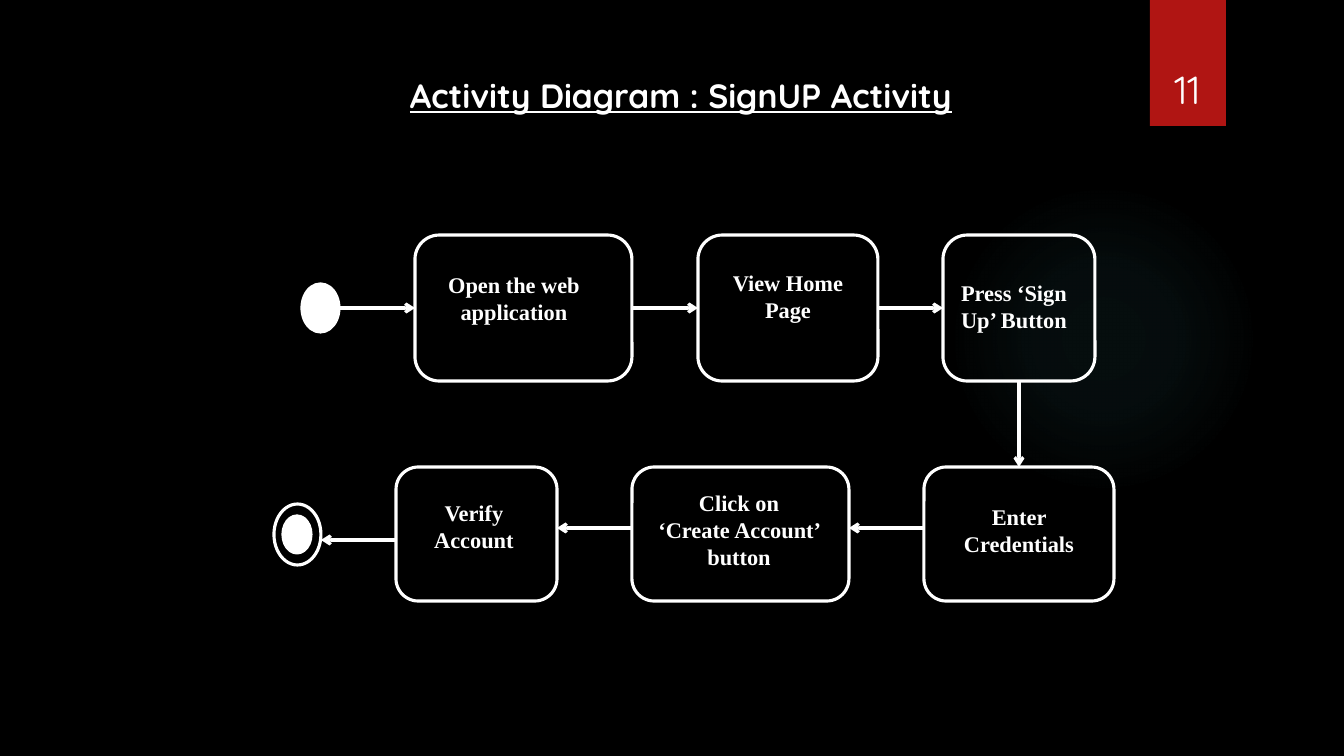
from lxml.etree import SubElement
from pptx import Presentation
from pptx.dml.color import RGBColor
from pptx.enum.shapes import MSO_CONNECTOR, MSO_SHAPE
from pptx.enum.text import MSO_ANCHOR, MSO_AUTO_SIZE, PP_ALIGN
from pptx.oxml import parse_xml
from pptx.oxml.ns import nsdecls, qn
from pptx.util import Emu, Pt

THEME = {
    "background": "000000",
    "foreground": "FFFFFF",
    "tab": "B01513",
    "glow": "50B9C1",
    "line": 2.25,
    "title": {"name": "Quicksand", "size": Pt(24), "bold": True, "underline": True},
    "number": {"name": "Quicksand", "size": Pt(28)},
    "step": {"name": "Times New Roman", "size": Pt(16), "bold": True},
}

SLIDE_SIZE = (1344, 756)
GLOW = (949, 184, 310, 310)
GLOW_STOPS = [(0, 7), (36, 6), (69, 0)]
TAB = (1150, 0, 76, 126)
TITLE = (["Activity Diagram : SignUP Activity"], (400, 70, 626, 50))
NUMBER = (["11"], (1141, 32, 93, 85))

START = (302, 284, 37, 48)
END_CORE = (283, 516, 28, 37)
END_RING = (274, 504, 47, 61)

ROWS = {"top": (235, 146), "bottom": (467, 134)}
STEPS = [
    ("open", "top", 415, 217, ["Open the web application"], (424, 266, 180, 65)),
    ("view", "top", 698, 180, ["View Home Page"], (698, 264, 180, 94)),
    ("press", "top", 943, 152, ["Press ‘Sign Up’ Button"], (934, 274, 160, 65)),
    ("enter", "bottom", 924, 190, ["Enter Credentials"], (934, 498, 170, 94)),
    ("click", "bottom", 632, 217, ["Click on", "‘Create Account’ button"], (635, 484, 208, 133)),
    ("verify", "bottom", 396, 161, ["Verify Account"], (394, 494, 160, 94)),
]

TOP, LEFT, BOTTOM, RIGHT = range(4)
JOINED_ARROWS = [
    ("open", RIGHT, "view", LEFT),
    ("view", RIGHT, "press", LEFT),
    ("press", BOTTOM, "enter", TOP),
]
FREE_ARROWS = [(924, 849, 528), (632, 557, 528), (396, 321, 540)]
START_ARROW = (340, 415, 308)

EMU_PER_PX = 914400 / 100.8


def px(value):
    return Emu(round(value * EMU_PER_PX))


def color(name):
    return RGBColor.from_string(THEME[name])


def outline(line):
    line.color.rgb = color("foreground")
    line.width = Pt(THEME["line"])


def add_shape(slide, kind, box, fill=None, outlined=True):
    shape = slide.shapes.add_shape(kind, *map(px, box))
    shape.shadow.inherit = False
    if fill:
        shape.fill.solid()
        shape.fill.fore_color.rgb = color(fill)
    else:
        shape.fill.background()
    if outlined:
        outline(shape.line)
    else:
        shape.line.fill.background()
    return shape


def add_glow(slide):
    shape = add_shape(slide, MSO_SHAPE.OVAL, GLOW, outlined=False)
    stops = "".join(
        f'<a:gs pos="{position * 1000}"><a:srgbClr val="{THEME["glow"]}">'
        f'<a:alpha val="{alpha * 1000}"/></a:srgbClr></a:gs>'
        for position, alpha in GLOW_STOPS
    )
    gradient = parse_xml(
        f'<a:gradFill {nsdecls("a")}><a:gsLst>{stops}</a:gsLst><a:path path="circle">'
        '<a:fillToRect l="50000" t="50000" r="50000" b="50000"/></a:path></a:gradFill>'
    )
    properties = shape._element.spPr
    properties.replace(properties.find(qn("a:noFill")), gradient)


def add_text(slide, lines, box, style, alignment=PP_ALIGN.CENTER,
             anchor=MSO_ANCHOR.TOP, auto_size=MSO_AUTO_SIZE.SHAPE_TO_FIT_TEXT):
    frame = slide.shapes.add_textbox(*map(px, box)).text_frame
    settings = {"word_wrap": True, "auto_size": auto_size, "vertical_anchor": anchor}
    for name, value in settings.items():
        setattr(frame, name, value)
    for index, line in enumerate(lines):
        paragraph = frame.add_paragraph() if index else frame.paragraphs[0]
        paragraph.alignment = alignment
        run = paragraph.add_run()
        run.text = line
        for name, value in THEME[style].items():
            setattr(run.font, name, value)
        run.font.color.rgb = color("foreground")


def add_arrow(slide, start_x=0, end_x=0, y=0):
    arrow = slide.shapes.add_connector(
        MSO_CONNECTOR.STRAIGHT, px(start_x), px(y), px(end_x), px(y))
    outline(arrow.line)
    SubElement(arrow.line._get_or_add_ln(), qn("a:tailEnd"), type="arrow")
    SubElement(arrow._element.spPr, qn("a:effectLst"))
    return arrow


def main():
    presentation = Presentation()
    presentation.slide_width, presentation.slide_height = map(px, SLIDE_SIZE)
    slide = presentation.slides.add_slide(presentation.slide_layouts[6])
    slide.background.fill.solid()
    slide.background.fill.fore_color.rgb = color("background")

    add_glow(slide)
    add_shape(slide, MSO_SHAPE.RECTANGLE, TAB, "tab", outlined=False)
    add_shape(slide, MSO_SHAPE.OVAL, START, "foreground")
    add_shape(slide, MSO_SHAPE.OVAL, END_CORE, "foreground")
    add_shape(slide, MSO_SHAPE.OVAL, END_RING)

    steps = {}
    for name, row, left, width, lines, text_box in STEPS:
        top, height = ROWS[row]
        steps[name] = add_shape(slide, MSO_SHAPE.ROUNDED_RECTANGLE, (left, top, width, height))
        add_text(slide, lines, text_box, "step")

    add_arrow(slide, *START_ARROW).end_connect(steps["open"], LEFT)
    for source, source_side, target, target_side in JOINED_ARROWS:
        arrow = add_arrow(slide)
        arrow.begin_connect(steps[source], source_side)
        arrow.end_connect(steps[target], target_side)
    for ends in FREE_ARROWS:
        add_arrow(slide, *ends)

    add_text(slide, *TITLE, "title", alignment=PP_ALIGN.LEFT)
    add_text(slide, *NUMBER, "number", anchor=MSO_ANCHOR.BOTTOM, auto_size=MSO_AUTO_SIZE.NONE)
    presentation.save("out.pptx")


if __name__ == "__main__":
    main()
